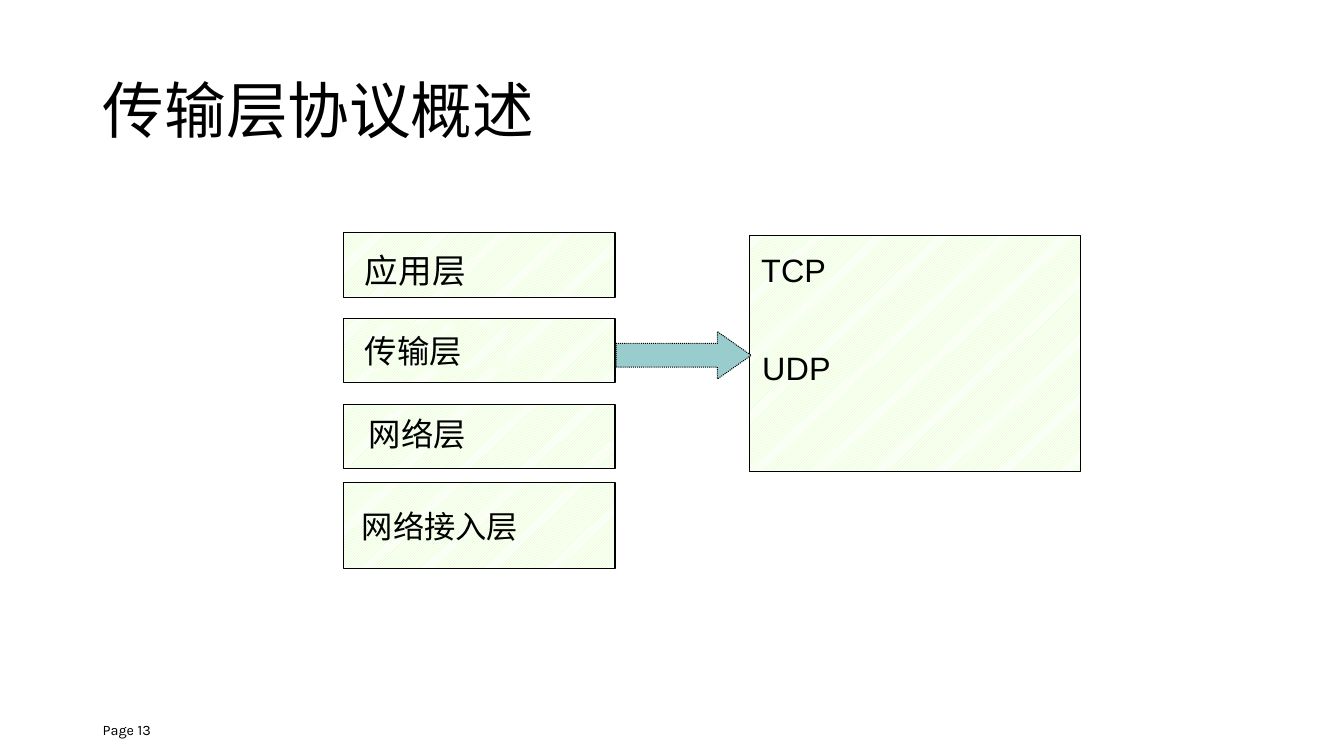
from lxml.etree import SubElement
from pptx import Presentation
from pptx.dml.color import RGBColor
from pptx.enum.dml import MSO_LINE, MSO_PATTERN
from pptx.enum.shapes import MSO_SHAPE
from pptx.enum.text import MSO_ANCHOR, MSO_AUTO_SIZE, PP_ALIGN
from pptx.oxml.ns import qn
from pptx.util import Inches, Pt

COLORS = {"ink": "000000", "hatch": "CCFF99", "paper": "FFFFFF", "arrow": "99CCCC"}
CJK = "Noto Sans CJK SC"
MARGIN = 0.92


def rgb(name):
    """Return a palette colour."""
    return RGBColor.from_string(COLORS[name])


def write(tf, text, size, font="Arial", spacing=None):
    """Write one left-aligned paragraph with Latin and East Asian fonts."""
    p = tf.paragraphs[0]
    p.alignment = PP_ALIGN.LEFT
    if spacing:
        p.line_spacing = spacing
    r = p.add_run()
    r.text = text
    r.font.size = Pt(size)
    r.font.name = font
    r.font.color.rgb = rgb("ink")
    SubElement(r.font._element, qn("a:ea")).set("typeface", CJK)


def add_label(slide, text, x, y, w, h, size=23.1, font="Arial"):
    """Add an unwrapped label without insets."""
    tf = slide.shapes.add_textbox(*map(Inches, (x, y, w, h))).text_frame
    tf.margin_left = tf.margin_right = tf.margin_top = tf.margin_bottom = 0
    tf.word_wrap = False
    tf.auto_size = MSO_AUTO_SIZE.SHAPE_TO_FIT_TEXT
    write(tf, text, size, font)


def add_panel(slide, x, y, w, h, outlined=True):
    """Add a hatched rectangle."""
    sp = slide.shapes.add_shape(MSO_SHAPE.RECTANGLE, *map(Inches, (x, y, w, h)))
    sp.shadow.inherit = False
    sp.fill.patterned()
    sp.fill.pattern = MSO_PATTERN.LIGHT_UPWARD_DIAGONAL
    sp.fill.fore_color.rgb = rgb("hatch")
    sp.fill.back_color.rgb = rgb("paper")
    if outlined:
        sp.line.color.rgb = rgb("ink")
        sp.line.width = Pt(0.75)
    else:
        sp.line.fill.background()


def add_title(slide, text, x, y, w, h):
    """Place and fill the title placeholder."""
    sp = slide.shapes.title
    sp.left, sp.top, sp.width, sp.height = map(Inches, (x, y, w, h))
    tf = sp.text_frame
    tf.auto_size = MSO_AUTO_SIZE.NONE
    tf.vertical_anchor = MSO_ANCHOR.MIDDLE
    write(tf, text, 44, CJK, spacing=0.9)


def add_footer(slide, text, x, y, w, h):
    """Add the page number line, set low in its box."""
    tf = slide.shapes.add_textbox(*map(Inches, (x, y, w, h))).text_frame
    tf.word_wrap = True
    tf.vertical_anchor = MSO_ANCHOR.MIDDLE
    tf.margin_top, tf.margin_bottom = Inches(0.18), 0
    write(tf, text, 10.3, "Karla")


def add_layers(slide, x, y, w, row_h):
    """Stack the four protocol layers, the last one taller."""
    pitch = row_h + 0.21
    tops = [y, y + pitch, y + 2 * pitch, y + 2.48]
    for top, h in zip(tops, [row_h] * 3 + [0.85]):
        add_panel(slide, x, top, w, h)
    add_panel(slide, x + 0.21, tops[1] + 0.06, 1.41, 0.44, outlined=False)
    labels = [
        ("应用层", 0.21, 0.17, 1.01, 0.4, 24, "Times New Roman"),
        ("传输层", 0.21, 0.13, 0.97, 0.39, 23.1, "Arial"),
        ("网络层", 0.25, 0.1, 0.97, 0.39, 23.1, "Arial"),
        ("网络接入层", 0.18, 0.24, 1.56, 0.37, 22.3, "Arial"),
    ]
    for top, (text, dx, dy, tw, th, size, font) in zip(tops, labels):
        add_label(slide, text, x + dx, top + dy, tw, th, size, font)


def add_protocols(slide, x, y, w, h):
    """Add the panel of transport protocols."""
    add_panel(slide, x, y, w, h)
    for name, dx, dy, tw in (("TCP", 0.12, 0.14, 0.65), ("UDP", 0.13, 1.11, 0.72)):
        add_label(slide, name, x + dx, y + dy, tw, 0.39)


def add_arrow(slide, x, y, w, h):
    """Add the block arrow from the transport layer to its protocols."""
    sp = slide.shapes.add_shape(MSO_SHAPE.RIGHT_ARROW, *map(Inches, (x, y, w, h)))
    sp.shadow.inherit = False
    sp.adjustments[0], sp.adjustments[1] = 0.5, 0.71
    sp.fill.solid()
    sp.fill.fore_color.rgb = rgb("arrow")
    sp.line.color.rgb = rgb("ink")
    sp.line.width = Pt(0.75)
    sp.line.dash_style = MSO_LINE.ROUND_DOT


def main():
    """Build and save the slide."""
    prs = Presentation()
    prs.slide_width, prs.slide_height = Inches(13.33), Inches(7.5)
    slide = prs.slides.add_slide(prs.slide_layouts[5])
    add_footer(slide, "Page 13", MARGIN, 6.95, 3, 0.4)
    add_title(slide, "传输层协议概述", MARGIN, 0.4, 11.5, 1.45)
    add_layers(slide, 3.41, 2.31, 2.69, 0.64)
    add_protocols(slide, 7.43, 2.34, 3.29, 2.34)
    add_arrow(slide, 6.11, 3.29, 1.34, 0.47)
    prs.save("out.pptx")


if __name__ == "__main__":
    main()
